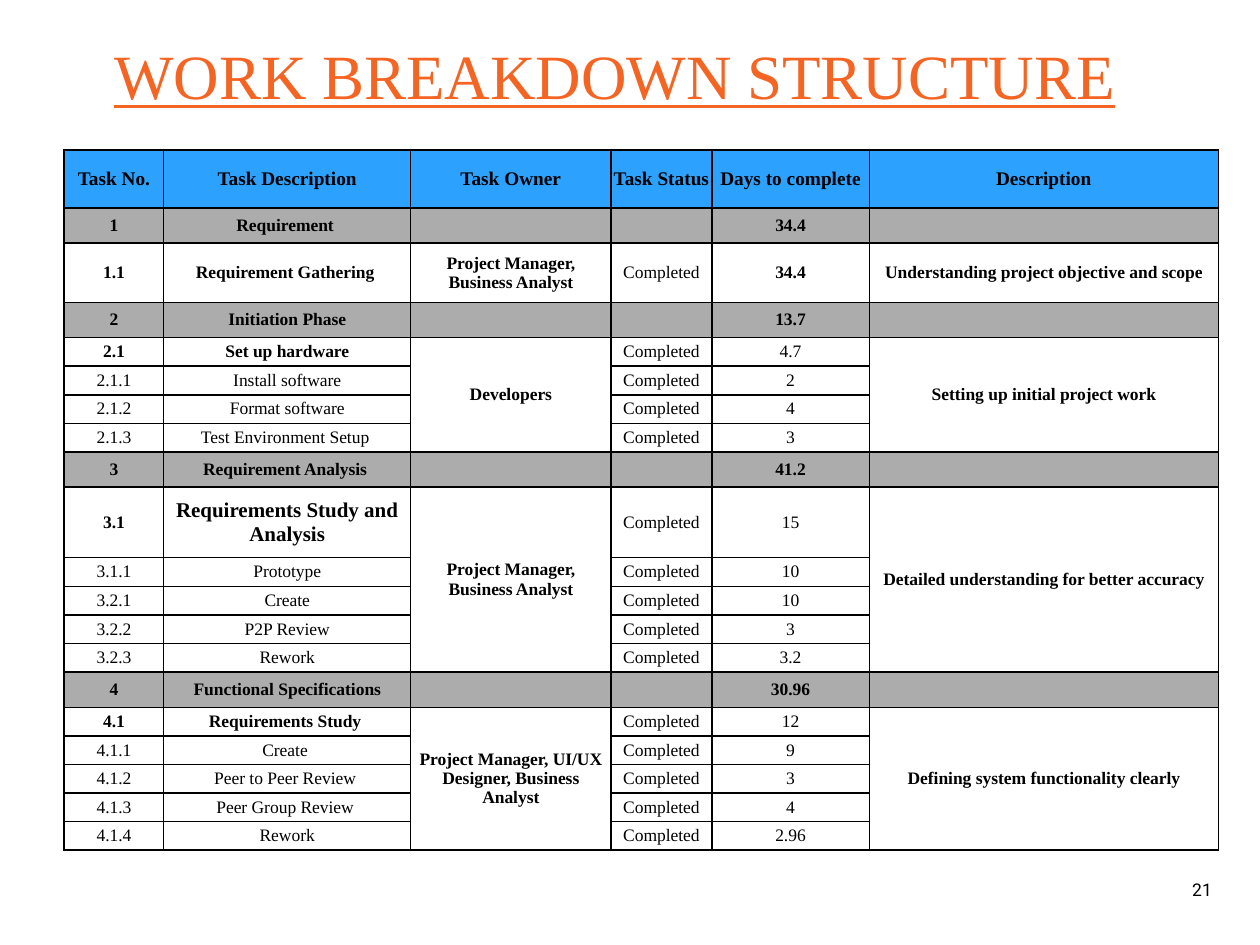
from dataclasses import dataclass

from lxml import etree
from pptx import Presentation
from pptx import util as u
from pptx.dml.color import RGBColor
from pptx.enum import text
from pptx.oxml import ns

Inches, Pt = u.Inches, u.Pt


@dataclass(frozen=True)
class Theme:
    serif: str = "Times New Roman"
    sans: str = "Roboto"
    orange: str = "F46524"
    black: str = "000000"
    white: str = "FFFFFF"
    header: str = "2CA1FE"
    phase: str = "ACACAC"
    title_size: int = 36
    subtitle_size: int = 12
    header_size: int = 11
    body_size: int = 10


THEME = Theme()

COLUMN_WIDTHS = [0.79, 1.96, 1.59, 0.8, 1.25, 2.77]
HEADINGS = ["Task No.", "Task Description", "Task Owner",
            "Task Status", "Days to complete", "Description"]
OWNER, STATUS, DAYS, NOTE = 2, 3, 4, 5
HEADER_HEIGHT, PHASE_HEIGHT = 0.46, 0.28
TALL_ROWS = {"1.1": 0.47, "3.1": 0.56}

# Each phase: number, name, days, owner, description, tasks
PHASES = [
    ("1", "Requirement ", "34.4", "Project Manager, Business Analyst",
     "Understanding project objective and scope",
     [("1.1", "Requirement Gathering ", "34.4")]),
    ("2", "Initiation Phase", "13.7", "Developers", "Setting up initial project work",
     [("2.1", "Set up hardware", "4.7"),
      ("2.1.1", "Install software", "2"),
      ("2.1.2", "Format software", "4"),
      ("2.1.3", "Test Environment Setup ", "3")]),
    ("3", "Requirement Analysis ", "41.2", "Project Manager, Business Analyst",
     "Detailed understanding for better accuracy",
     [("3.1", "Requirements Study and Analysis", "15"),
      ("3.1.1", "Prototype", "10"),
      ("3.2.1", "Create", "10"),
      ("3.2.2", "P2P Review", "3"),
      ("3.2.3", "Rework", "3.2")]),
    ("4", "Functional Specifications", "30.96",
     "Project Manager, UI/UX Designer, Business Analyst",
     "Defining system functionality clearly",
     [("4.1", "Requirements Study ", "12"),
      ("4.1.1", "Create ", "9"),
      ("4.1.2", "Peer to Peer Review ", "3"),
      ("4.1.3", "Peer Group Review ", "4"),
      ("4.1.4", "Rework", "2.96")]),
]


def add_span(para, words, size, color=THEME.black, face=THEME.serif,
             bold=False, underline=False):
    para.alignment = text.PP_ALIGN.CENTER
    span = para.add_run()
    span.text = words
    font = span.font
    font.name, font.size, font.bold = face, Pt(size), bold
    font.color.rgb = RGBColor.from_string(color)
    if underline:
        font.underline = True


def add_label(page, box, words, size, line_spacing=1.0, **style):
    frame = page.shapes.add_textbox(*map(Inches, box)).text_frame
    frame.word_wrap = True
    frame.vertical_anchor = text.MSO_ANCHOR.MIDDLE
    para = frame.paragraphs[0]
    para.line_spacing = line_spacing
    add_span(para, words, size, **style)


def set_borders(cell):
    props = cell._tc.get_or_add_tcPr()
    for position, side in enumerate(("lnL", "lnR", "lnT", "lnB")):
        line = etree.Element(ns.qn(f"a:{side}"), w=str(Pt(1)))
        fill = etree.SubElement(line, ns.qn("a:solidFill"))
        etree.SubElement(fill, ns.qn("a:srgbClr"), val=THEME.black)
        props.insert(position, line)


def format_cell(cell, fill):
    cell.margin_left = cell.margin_right = Inches(0.02)
    cell.margin_top = cell.margin_bottom = 0
    cell.vertical_anchor = text.MSO_ANCHOR.MIDDLE
    cell.fill.solid()
    cell.fill.fore_color.rgb = RGBColor.from_string(fill)
    set_borders(cell)


def write_cell(cell, words, size=THEME.body_size, bold=False):
    para = cell.text_frame.paragraphs[0]
    if words:
        add_span(para, words, size, bold=bold)
    else:
        # Keeps an empty cell from stretching its row
        etree.SubElement(para._p, ns.qn("a:endParaRPr"), sz=str(size * 100))


def write_row(table, row, words, fill, bold_columns, size=THEME.body_size):
    for column, entry in enumerate(words):
        cell = table.cell(row, column)
        format_cell(cell, fill)
        write_cell(cell, entry, size[column] if isinstance(size, list) else size,
                   column in bold_columns)


def size_rows(table, numbers, height):
    """Fixed rows keep their height; plain task rows share the rest."""
    heights = [HEADER_HEIGHT] + [
        TALL_ROWS.get(number, None if "." in number else PHASE_HEIGHT)
        for number in numbers]
    plain = (height - sum(filter(None, heights))) / heights.count(None)
    for row, row_height in zip(table.rows, heights):
        row.height = Inches(row_height or plain)


def add_task_table(page, box):
    numbers = [number for phase in PHASES
               for number in [phase[0]] + [task[0] for task in phase[-1]]]
    table = page.shapes.add_table(len(numbers) + 1, len(HEADINGS),
                                  *map(Inches, box)).table
    table.first_row = table.horz_banding = False
    for column, width in zip(table.columns, COLUMN_WIDTHS):
        column.width = Inches(width)
    size_rows(table, numbers, box[3])

    # Heading row
    every_column = range(len(HEADINGS))
    write_row(table, 0, HEADINGS, THEME.header, every_column, THEME.header_size)

    # Phase rows, each followed by its tasks
    row = 1
    for number, name, days, owner, note, tasks in PHASES:
        write_row(table, row, [number, name, "", "", days, ""],
                  THEME.phase, every_column)
        first = row + 1
        for task_number, task, task_days in tasks:
            row += 1
            is_first = row == first
            bold_columns = {OWNER, NOTE}
            if is_first:
                bold_columns |= {0, 1}
            if len(tasks) == 1:
                bold_columns.add(DAYS)
            sizes = [THEME.body_size] * len(HEADINGS)
            if task_number == "3.1":
                sizes[1] = THEME.subtitle_size
            write_row(table, row,
                      [task_number, task, owner if is_first else "", "Completed",
                       task_days, note if is_first else ""],
                      THEME.white, bold_columns, sizes)
        if row > first:
            for column in (OWNER, NOTE):
                table.cell(first, column).merge(table.cell(row, column))
        row += 1


def main():
    deck = Presentation()
    deck.slide_width, deck.slide_height = Inches(10), Inches(7.5)
    page = deck.slides.add_slide(deck.slide_layouts[6])

    # Title
    add_label(page, (0.63, -0.25, 8.5, 1.76), "WORK BREAKDOWN STRUCTURE",
              THEME.title_size, line_spacing=0.9, color=THEME.orange, underline=True)
    # Page number
    add_label(page, (9.28, 6.86, 0.52, 0.4), "21", THEME.body_size, face=THEME.sans)
    # Task table
    add_task_table(page, (0.51, 1.19, 9.16, 5.56))

    deck.save("out.pptx")


if __name__ == "__main__":
    main()
